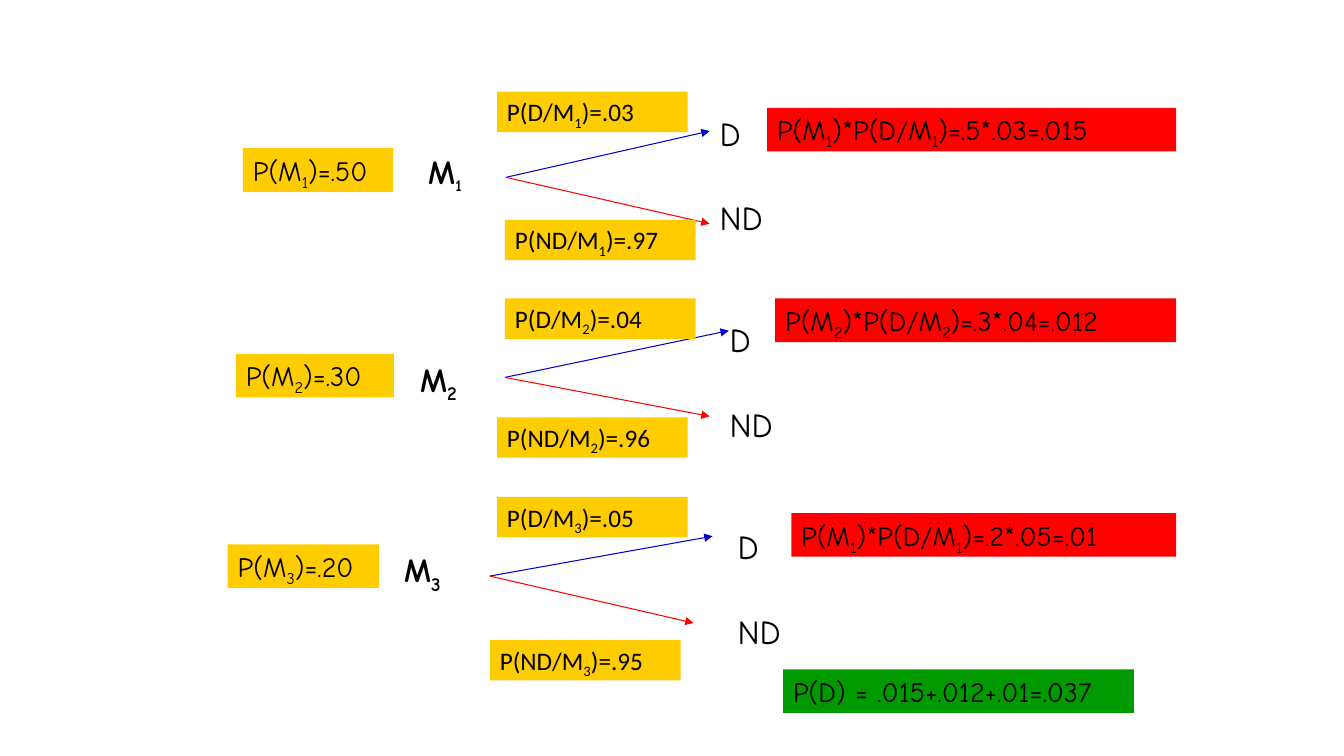
from dataclasses import dataclass

from lxml import etree
from pptx import Presentation
from pptx.dml.color import RGBColor
from pptx.enum.shapes import MSO_CONNECTOR, MSO_SHAPE
from pptx.enum.text import MSO_ANCHOR, PP_ALIGN
from pptx.oxml.ns import qn
from pptx.util import Pt


@dataclass(frozen=True)
class Theme:
    text: RGBColor = RGBColor(0, 0, 0)
    given: RGBColor = RGBColor(0xFF, 0xCC, 0x00)
    joint: RGBColor = RGBColor(0xFF, 0x00, 0x00)
    total: RGBColor = RGBColor(0x00, 0x99, 0x00)
    defective: RGBColor = RGBColor(0x00, 0x00, 0xCC)
    sound: RGBColor = RGBColor(0xFF, 0x00, 0x00)
    display: str = "Comic Neue"
    body: str = "Calibri"
    label_size: int = 24
    formula_size: int = 20
    condition_size: int = 18


THEME = Theme()
JOINT_RIGHT = 840.2
OUTCOME_GAP = 60.4


@dataclass(frozen=True)
class Branch:
    """Texts of one machine, and the offsets of its parts from the branch's box."""
    machine: str
    prior: str
    defective: str
    sound: str
    joint: str
    box: tuple
    prior_top: float
    prior_width: float
    machine_at: tuple
    defective_left: float
    sound_at: tuple
    outcome_at: tuple
    fork: tuple
    tips: tuple
    joint_at: tuple
    subscript_size: int = THEME.label_size


BRANCHES = [
    Branch("M_1", "P(M_1)=.50", "P(D/M_1)=.03", "P(ND/M_1)=.97",
           "P(M_1)*P(D/M_1)=.5*.03=.015", box=(173.5, 65.5),
           prior_top=40.3, prior_width=107.3, machine_at=(125.3, 38.9),
           defective_left=181.5, sound_at=(187.2, 91.5), outcome_at=(333.4, 11.5),
           fork=(187.9, 61.2), tips=((333.4, 28.1), (333.4, 94.3)),
           joint_at=(374.4, 11.5), subscript_size=THEME.formula_size),
    Branch("M_2", "P(M_2)=.30", "P(D/M_2)=.04", "P(ND/M_2)=.96",
           "P(M_2)*P(D/M_2)=.3*.04=.012", box=(168.5, 213.1),
           prior_top=39.6, prior_width=113, machine_at=(124.5, 39.6),
           defective_left=192.2, sound_at=(186.5, 85), outcome_at=(345.6, 11.5),
           fork=(192.2, 56.5), tips=((352.1, 23.1), (338.4, 84.3)),
           joint_at=(385.2, 0)),
    Branch("M_3", "P(M_3)=.20", "P(D/M_3)=.05", "P(ND/M_3)=.95",
           "P(M_1)*P(D/M_1)=.2*.05=.01", box=(162.7, 355),
           prior_top=33.8, prior_width=108, machine_at=(118.8, 33.8),
           defective_left=192.3, sound_at=(187.2, 102.2), outcome_at=(357.1, 17.2),
           fork=(187.2, 56.5), tips=((346.3, 28), (332.7, 90)),
           joint_at=(402.5, 11.5)),
]


def write_formula(shape, formula, size, font=THEME.display, bold=False, subscript_size=None):
    """Write text in which an underscore lowers the character after it."""
    frame = shape.text_frame
    frame.word_wrap = True
    frame.vertical_anchor = MSO_ANCHOR.TOP
    paragraph = frame.paragraphs[0]
    paragraph.alignment = PP_ALIGN.LEFT

    def add_part(text, part_size, lowered=False):
        if not text:
            return
        run = paragraph.add_run()
        run.text = text
        run.font.name = font
        run.font.size = Pt(part_size)
        run.font.bold = bold
        run.font.color.rgb = THEME.text
        if lowered:
            run.font._element.set("baseline", "-25000")

    first, *rest = formula.split("_")
    add_part(first, size)
    for part in rest:
        add_part(part[0], subscript_size or size, lowered=True)
        add_part(part[1:], size)


def add_label(slide, left, top, width, text, **style):
    label = slide.shapes.add_textbox(Pt(left), Pt(top), Pt(width), Pt(36.2))
    write_formula(label, text, THEME.label_size, **style)


def add_formula_box(slide, left, top, width, formula, fill,
                    height=31.2, size=THEME.formula_size, font=THEME.display):
    box = slide.shapes.add_shape(MSO_SHAPE.RECTANGLE, Pt(left), Pt(top), Pt(width), Pt(height))
    box.shadow.inherit = False
    box.fill.solid()
    box.fill.fore_color.rgb = fill
    box.line.fill.background()
    write_formula(box, formula, size, font)


def add_condition(slide, left, top, formula):
    add_formula_box(slide, left, top, 136.2, formula, THEME.given,
                    height=28.9, size=THEME.condition_size, font=THEME.body)


def add_arrow(slide, start, end, color):
    arrow = slide.shapes.add_connector(MSO_CONNECTOR.STRAIGHT, *map(Pt, start + end))
    arrow.line.color.rgb = color
    arrow.line.width = Pt(0.75)
    etree.SubElement(arrow.line._get_or_add_ln(), qn("a:tailEnd"), type="triangle")
    etree.SubElement(arrow._element.spPr, qn("a:effectLst"))


def add_branch(slide, branch):
    left, top = branch.box

    def place(offset):
        return left + offset[0], top + offset[1]

    add_label(slide, *place(branch.machine_at), 97.2, branch.machine,
              bold=True, subscript_size=branch.subscript_size)
    outcome_left, outcome_top = place(branch.outcome_at)
    add_label(slide, outcome_left, outcome_top, 48.2, "D")
    add_label(slide, outcome_left, outcome_top + OUTCOME_GAP, 62.6, "ND")
    for tip, color in zip(branch.tips, (THEME.defective, THEME.sound)):
        add_arrow(slide, place(branch.fork), place(tip), color)
    add_formula_box(slide, left, top + branch.prior_top, branch.prior_width,
                    branch.prior, THEME.given)
    add_condition(slide, left + branch.defective_left, top, branch.defective)
    add_condition(slide, *place(branch.sound_at), branch.sound)
    joint_left, joint_top = place(branch.joint_at)
    add_formula_box(slide, joint_left, joint_top, JOINT_RIGHT - joint_left,
                    branch.joint, THEME.joint)


def main():
    presentation = Presentation()
    presentation.slide_width, presentation.slide_height = Pt(960), Pt(540)
    slide = presentation.slides.add_slide(presentation.slide_layouts[6])
    for branch in BRANCHES:
        add_branch(slide, branch)
    add_formula_box(slide, 559.4, 478.1, 250.6, "P(D) = .015+.012+.01=.037", THEME.total)
    presentation.save("out.pptx")


if __name__ == "__main__":
    main()
